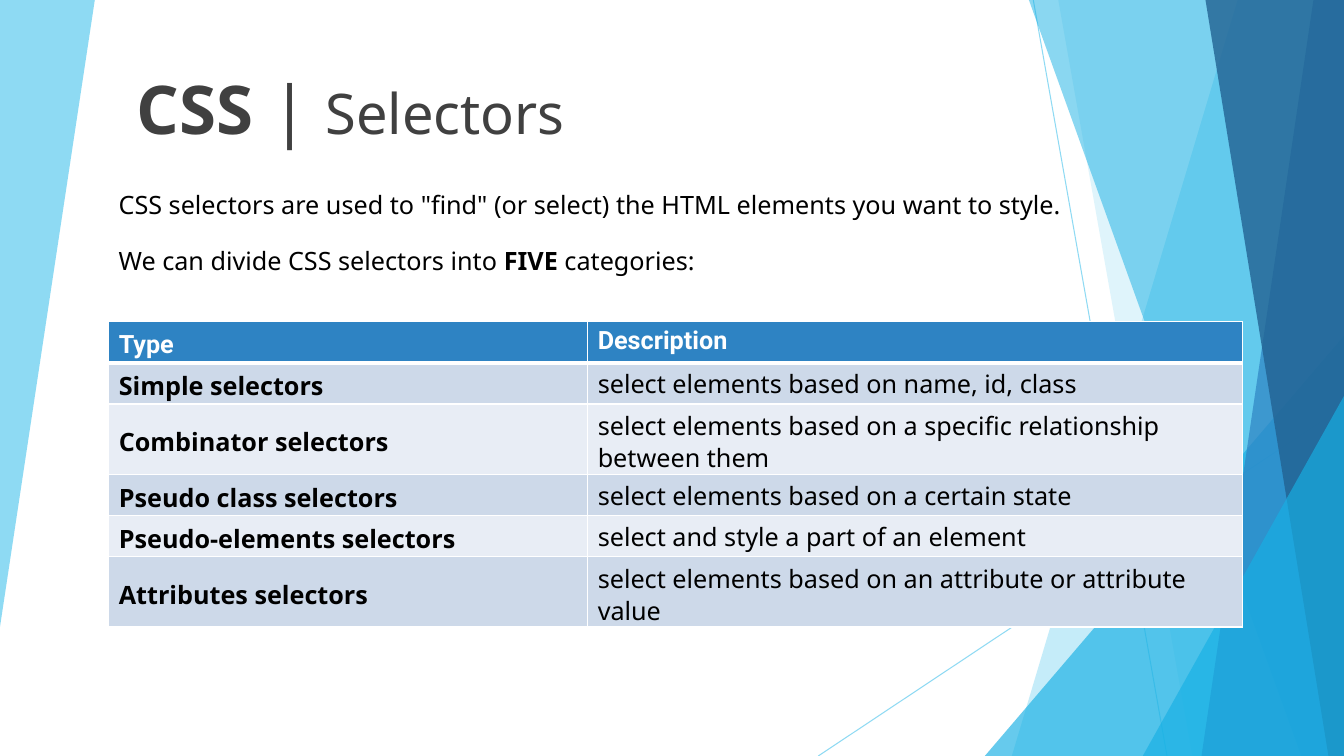
from typing import NamedTuple

from lxml import etree
from pptx import Presentation
from pptx import util as u
from pptx.dml.color import RGBColor
from pptx.enum import shapes, text
from pptx.oxml.ns import qn

WIDTH, HEIGHT = 33.87, 19.05
BODY_FONT, HEADER_FONT = "Noto Sans", "Roboto"
SKY, CYAN, BLUE, NAVY = "5FCBEF", "17B0E4", "2E83C3", "226292"
WHITE, BLACK, CHARCOAL = "FFFFFF", "000000", "404040"
BANDS = ("CDD9E9", "E8EDF5")


class Ray(NamedTuple):
    start: tuple[float, float]
    end: tuple[float, float]


class Panel(NamedTuple):
    top: float
    bottom: float
    fill: str
    opacity: int


class Corner(NamedTuple):
    left: float
    top: float
    fill: str
    opacity: int


class Span(NamedTuple):
    words: str
    size: float
    bold: bool = False


class Selector(NamedTuple):
    kind: str
    description: str
    height: float = 1.04


RAYS = (Ray((26.04, 0), (29.41, HEIGHT)), Ray((WIDTH, 10.24), (20.62, HEIGHT)))
DECORATION = (
    Panel(31.19, 25.5, SKY, 36),
    Panel(26.67, 30.05, SKY, 20),
    Corner(24.82, 8.46, CYAN, 66),
    Panel(25.93, 32.79, CYAN, 50),
    Panel(33.1, 30.28, BLUE, 70),
    Panel(30.38, 33.48, NAVY, 80),
    Corner(28.8, 9.98, CYAN, 66),
)
TITLE = ((Span("CSS", 48, True), Span(" | ", 48), Span("Selectors", 40)),)
INTRO = (
    (Span('CSS selectors are used to "find" (or select) the HTML elements you want to style.', 18),),
    (Span("We can divide CSS selectors into ", 18), Span("FIVE", 18, True), Span(" categories:", 18)),
)
SELECTORS = (
    Selector("Type", "Description"),
    Selector("Simple selectors", "select elements based on name, id, class"),
    Selector("Combinator selectors", "select elements based on a specific relationship between them", 1.77),
    Selector("Pseudo class selectors", "select elements based on a certain state"),
    Selector("Pseudo-elements selectors", "select and style a part of an element"),
    Selector("Attributes selectors", "select elements based on an attribute or attribute value", 1.77),
)


def color(value: str) -> RGBColor:
    return RGBColor.from_string(value)


def set_opacity(element, percent: int) -> None:
    swatch = next(element.iter(qn("a:srgbClr")))
    etree.SubElement(swatch, qn("a:alpha"), val=str(percent * 1000))


def paint(shape, fill: str, opacity: int) -> None:
    shape.shadow.inherit = False
    shape.line.fill.background()
    shape.fill.solid()
    shape.fill.fore_color.rgb = color(fill)
    set_opacity(shape.fill._xPr, opacity)


def draw_outline(page, points: list[tuple[float, float]], fill: str, opacity: int) -> None:
    corners = [(u.Cm(x), u.Cm(y)) for x, y in points]
    builder = page.shapes.build_freeform(*corners[0])
    builder.add_line_segments(corners[1:], close=True)
    paint(builder.convert_to_shape(), fill, opacity)


def draw_ray(page, ray: Ray) -> None:
    ends = [u.Cm(value) for value in ray.start + ray.end]
    line = page.shapes.add_connector(shapes.MSO_CONNECTOR.STRAIGHT, *ends)
    line.line.width = u.Pt(0.75)
    line.line.color.rgb = color(SKY)
    properties = line._element.spPr
    set_opacity(properties, 70)
    etree.SubElement(properties, qn("a:effectLst"))


def draw_panel(page, panel: Panel) -> None:
    points = [(panel.top, 0), (WIDTH, 0), (WIDTH, HEIGHT), (panel.bottom, HEIGHT)]
    draw_outline(page, points, panel.fill, panel.opacity)


def draw_corner(page, corner: Corner) -> None:
    triangle = page.shapes.add_shape(
        shapes.MSO_SHAPE.ISOSCELES_TRIANGLE,
        u.Cm(corner.left), u.Cm(corner.top),
        u.Cm(WIDTH - corner.left), u.Cm(HEIGHT - corner.top),
    )
    triangle.adjustments[0] = 1
    paint(triangle, corner.fill, corner.opacity)


def style_font(font, name: str, fill: str) -> None:
    font.name = name
    font.color.rgb = color(fill)


def add_text(page, area: tuple[float, ...], lines: tuple[tuple[Span, ...], ...], fill: str):
    box = page.shapes.add_textbox(*(u.Cm(value) for value in area))
    frame = box.text_frame
    frame.word_wrap = True
    for index, spans in enumerate(lines):
        para = frame.add_paragraph() if index else frame.paragraphs[0]
        style_font(para.font, BODY_FONT, fill)
        para.space_before = u.Pt(18.4 if index else 0)
        for span in spans:
            run = para.add_run()
            run.text = span.words
            run.font.size = u.Pt(span.size)
            run.font.bold = span.bold
    return frame


def add_borders(cell, bottom: float) -> None:
    properties = cell._tc.get_or_add_tcPr()
    widths = {"lnL": 1, "lnR": 1, "lnT": 1, "lnB": bottom}
    for position, (side, width) in enumerate(widths.items()):
        border = etree.Element(qn(f"a:{side}"), w=str(u.Pt(width)))
        solid = etree.SubElement(border, qn("a:solidFill"))
        etree.SubElement(solid, qn("a:srgbClr"), val=WHITE)
        properties.insert(position, border)


def fill_cell(cell, words: str, row: int, column: int) -> None:
    header = row == 0
    cell.fill.solid()
    cell.fill.fore_color.rgb = color(BLUE if header else BANDS[(row - 1) % 2])
    cell.margin_top, cell.margin_bottom = u.Cm(0.13), u.Cm(0)
    anchor = text.MSO_ANCHOR
    cell.vertical_anchor = anchor.TOP if column else anchor.MIDDLE
    para = cell.text_frame.paragraphs[0]
    para.text = words
    para.line_spacing = 0.95
    para.font.size = u.Pt(18)
    para.font.bold = header or column == 0
    style_font(para.font, HEADER_FONT if header else BODY_FONT, WHITE if header else BLACK)
    add_borders(cell, 3 if header else 1)


def add_selectors(page) -> None:
    widths = (12.07, 16.51)
    height = sum(selector.height for selector in SELECTORS)
    area = (2.74, 8.1, sum(widths), height)
    frame = page.shapes.add_table(len(SELECTORS), len(widths), *(u.Cm(value) for value in area))
    table = frame.table
    for column, width in zip(table.columns, widths):
        column.width = u.Cm(width)
    for row, selector in enumerate(SELECTORS):
        table.rows[row].height = u.Cm(selector.height)
        for column, words in enumerate((selector.kind, selector.description)):
            fill_cell(table.cell(row, column), words, row, column)


def main() -> None:
    deck = Presentation()
    deck.slide_width, deck.slide_height = u.Cm(WIDTH), u.Cm(HEIGHT)
    page = deck.slides.add_slide(deck.slide_layouts[6])
    draw_outline(page, [(0, 0), (2.39, 0), (0, 15.8)], SKY, 70)
    for ray in RAYS:
        draw_ray(page, ray)
    for part in DECORATION:
        if isinstance(part, Panel):
            draw_panel(page, part)
        else:
            draw_corner(page, part)
    title = add_text(page, (3.2, 1.04, 21.56, 2.69), TITLE, CHARCOAL)
    title.vertical_anchor = text.MSO_ANCHOR.BOTTOM
    title.margin_bottom = u.Cm(0)
    add_text(page, (2.74, 4.65, 26.62, 2.57), INTRO, BLACK)
    add_selectors(page)
    deck.save("out.pptx")


main()
